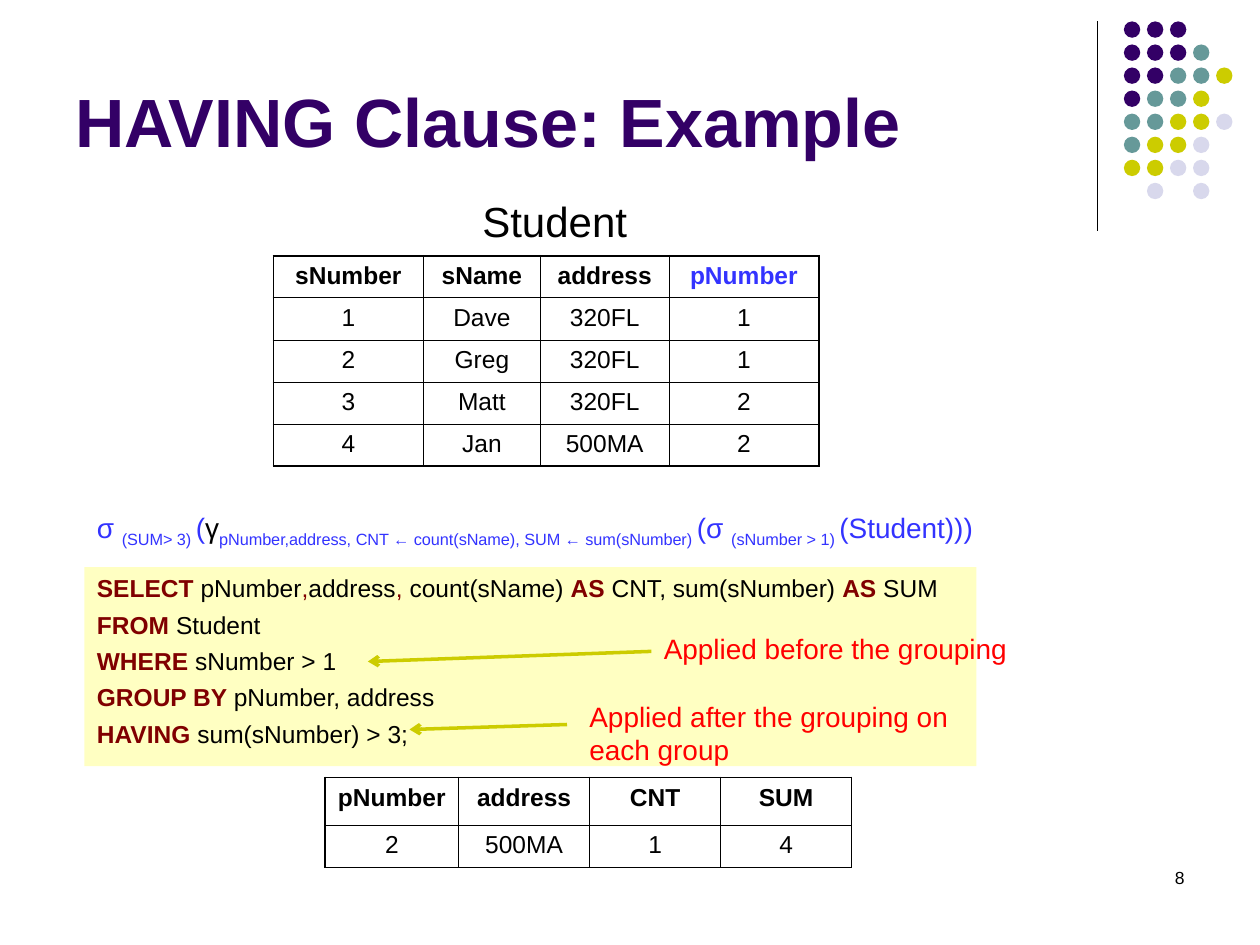
from lxml import etree
from pptx import Presentation
from pptx import util as u
from pptx.dml.color import RGBColor
from pptx.enum import shapes, text
from pptx.oxml.ns import qn

FONT = "Arial"
BLACK = RGBColor(0, 0, 0)
PURPLE = RGBColor(0x33, 0, 0x66)
TEAL = RGBColor(0x66, 0x99, 0x99)
OLIVE = RGBColor(0xCC, 0xCC, 0)
LILAC = RGBColor(0xD8, 0xD8, 0xEC)
BLUE = RGBColor(0x33, 0x33, 0xFF)
MAROON = RGBColor(0x80, 0, 0)
CREAM = RGBColor(0xFF, 0xFF, 0xC2)
RED = RGBColor(0xFF, 0, 0)
THICK, THIN = 1.08, 0.45

# Content: a run is (words, colour, bold, baseline)
DOTS = ["PPP", "PPPT", "PPTTO", "PTTO", "TTOOL", "TOOL", "OOLL", " L L"]
HUES = {"P": PURPLE, "T": TEAL, "O": OLIVE, "L": LILAC}

STUDENT = [
    ("sNumber", "sName", "address", "pNumber"),
    (1, "Dave", "320FL", 1),
    (2, "Greg", "320FL", 1),
    (3, "Matt", "320FL", 2),
    (4, "Jan", "500MA", 2),
]
RESULT = [("pNumber", "address", "CNT", "SUM"), (2, "500MA", 1, 4)]


def key(words):
    return words, MAROON, True, 0


def sub(words):
    return words, BLUE, False, -25


def plain(words, hue=BLACK):
    return words, hue, False, 0


QUERY = [
    [key("SELECT "), plain("pNumber"), plain(",", MAROON), plain("address"),
     plain(", ", MAROON), plain("count(sName) "), key("AS"),
     plain(" CNT, sum(sNumber) "), key("AS "), plain("SUM")],
    [key("FROM "), plain("Student")],
    [key("WHERE "), plain("sNumber > 1")],
    [key("GROUP BY "), plain("pNumber, address")],
    [key("HAVING"), plain(" sum(sNumber) > 3;")],
]
ALGEBRA = [
    plain("σ ", BLUE), sub("(SUM> 3) "), plain("(", BLUE), plain("γ"),
    sub("pNumber,address, CNT ← count(sName), SUM ← sum(sNumber) "),
    plain("(σ ", BLUE), sub("(sNumber > 1) "), plain("(Student)))", BLUE),
]
# Notes: words, box, arrow start, arrow end
NOTES = [
    ("Applied before the grouping", (5.17, 4.96, 3.33, 0.37),
     (5.17, 5.17), (2.92, 5.25)),
    ("Applied after the grouping on each group", (4.58, 5.5, 3.33, 0.64),
     (4.5, 5.75), (3.25, 5.79)),
]

deck = Presentation()
deck.slide_width, deck.slide_height = u.Inches(10), u.Inches(7.5)
slide = deck.slides.add_slide(deck.slide_layouts[6])


def inch(nums):
    return [u.Inches(n) for n in nums]


def style(run, size, hue, bold=False, base=0):
    font = run.font
    font.name, font.size, font.bold = FONT, u.Pt(size), bold
    font.color.rgb = hue
    if base:
        run._r.get_or_add_rPr().set("baseline", str(base * 1000))


def write(frame, lines, size, before=0, wrap=True):
    frame.word_wrap = wrap
    for i, runs in enumerate(lines):
        para = frame.paragraphs[0] if i == 0 else frame.add_paragraph()
        para.space_before = u.Pt(before)
        para.alignment = text.PP_ALIGN.LEFT
        for words, *look in runs:
            run = para.add_run()
            run.text = words
            style(run, size, *look)


def label(area, runs, size, home=slide.shapes, wrap=True):
    frame = home.add_textbox(*inch(area)).text_frame
    write(frame, [runs], size, wrap=wrap)
    return frame


def line(home, start, end, hue, width, arrow=False):
    link = home.add_connector(shapes.MSO_CONNECTOR.STRAIGHT,
                              *inch(start + end))
    link.line.color.rgb, link.line.width = hue, u.Pt(width)
    if arrow:
        tail = etree.SubElement(link.line._get_or_add_ln(), qn("a:tailEnd"))
        tail.set("type", "arrow")
    etree.SubElement(link._element.spPr, qn("a:effectLst"))


def border(cell, side, width):
    edge = etree.SubElement(cell._tc.get_or_add_tcPr(), qn("a:ln" + side),
                            w=str(u.Pt(width)))
    fill = etree.SubElement(edge, qn("a:solidFill"))
    etree.SubElement(fill, qn("a:srgbClr"), val=str(BLACK))


def grid(data, left, top, cols, rows, heavy, hues):
    area = inch((left, top, sum(cols), sum(rows)))
    table = slide.shapes.add_table(len(rows), len(cols), *area).table
    table.first_row = table.horz_banding = False
    for col, wide in zip(table.columns, cols):
        col.width = u.Inches(wide)
    for r, row in enumerate(data):
        table.rows[r].height = u.Inches(rows[r])
        for c, value in enumerate(row):
            cell = table.cell(r, c)
            outer = {"L": c == 0, "R": c == len(cols) - 1,
                     "T": r == 0, "B": r == len(rows) - 1}
            for side, edge in outer.items():
                border(cell, side, THICK if edge and side in heavy else THIN)
            cell.fill.background()
            cell.text_frame.text = str(value)
            para = cell.text_frame.paragraphs[0]
            para.alignment = text.PP_ALIGN.CENTER
            para.space_before = u.Pt(3.5)
            style(para.runs[0], 14, hues.get((r, c), BLACK), r == 0)


# Corner decoration
line(slide.shapes, (8.71, 0.17), (8.71, 1.83), BLACK, 0.75)
group = slide.shapes.add_group_shape().shapes
for r, row in enumerate(DOTS):
    for c, mark in enumerate(row):
        if mark in HUES:
            spot = (8.92 + c * 0.183, 0.17 + r * 0.183, 0.13, 0.13)
            dot = group.add_shape(shapes.MSO_SHAPE.OVAL, *inch(spot))
            dot.shadow.inherit = False
            dot.fill.solid()
            dot.fill.fore_color.rgb = HUES[mark]
            dot.line.fill.background()

# Title
title = label((0.5, 0.13, 8.25, 1.2),
              [("HAVING Clause: Example", PURPLE, True)], 39)
title.vertical_anchor = text.MSO_ANCHOR.BOTTOM

# Student table
grid(STUDENT, 2.17, 2.03, (1.19, 0.93, 1.02, 1.19), [0.333] * 5,
     "LRTB", {(0, 3): BLUE})
label((3.73, 1.5, 1.35, 0.5), [plain("Student")], 24, wrap=False)

# Query panel
panel = slide.shapes.add_shape(shapes.MSO_SHAPE.RECTANGLE,
                               *inch((0.67, 4.5, 7.08, 1.58)))
panel.shadow.inherit = False
panel.fill.solid()
panel.fill.fore_color.rgb = CREAM
panel.line.fill.background()
panel.text_frame.vertical_anchor = text.MSO_ANCHOR.TOP
write(panel.text_frame, QUERY, 14, before=4)

# Result table, algebra and page number
grid(RESULT, 2.58, 6.17, (1.06, 1.04, 1.04, 1.04), (0.38, 0.33), "LT", {})
label((0.67, 4, 7.17, 0.41), ALGEBRA, 16, wrap=False)
page = label((7.17, 6.83, 2.33, 0.5), [plain("8")], 10)
page.paragraphs[0].alignment = text.PP_ALIGN.RIGHT

# Notes with arrows
for words, area, start, end in NOTES:
    group = slide.shapes.add_group_shape().shapes
    line(group, start, end, OLIVE, 2, arrow=True)
    label(area, [plain(words, RED)], 16, group)

deck.save("out.pptx")
